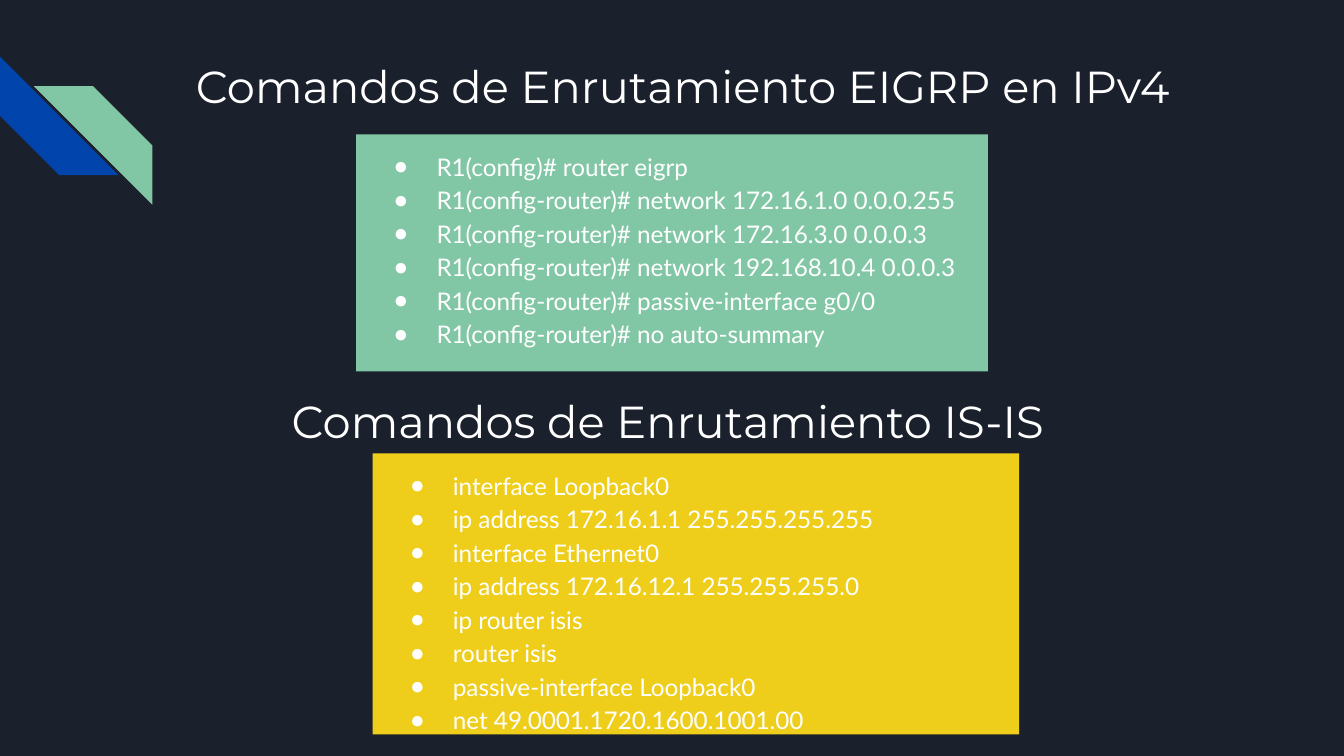
from pptx import Presentation
from pptx.dml.color import RGBColor as Rgb
from pptx.enum.shapes import MSO_SHAPE as Kind
from pptx.enum.text import MSO_ANCHOR as Anchor, MSO_AUTO_SIZE as Auto, PP_ALIGN as Align
from pptx.oxml import parse_xml
from pptx.oxml.ns import nsdecls
from pptx.util import Cm, Pt


def paint(fill, color):
    fill.solid()
    fill.fore_color.rgb = Rgb.from_string(color)


def write(box, text, at, font, size, fill=None, bullet=None, anchor=Anchor.TOP):
    box.left, box.top, box.width, box.height = [Cm(n) for n in at]
    if fill:
        paint(box.fill, fill)
    frame = box.text_frame
    frame.text = text
    frame.word_wrap = True
    frame.auto_size = Auto.NONE
    frame.vertical_anchor = anchor
    frame.margin_left = frame.margin_right = Cm(0.25)
    frame.margin_top = frame.margin_bottom = Cm(0.25)
    for para in frame.paragraphs:
        props = para._p.get_or_add_pPr()
        props.set("marL", str(Cm(1.27) if bullet else 0))
        props.set("indent", str(Cm(-0.81) if bullet else 0))
        if bullet:
            marks = (f'buClr {nsdecls("a")}><a:srgbClr val="FFFFFF"/></a:buClr',
                     f'buChar {nsdecls("a")} char="{bullet}"/')
        else:
            marks = (f'buNone {nsdecls("a")}/',)
        for mark in marks:
            props.append(parse_xml(f"<a:{mark}>"))
        para.alignment = Align.LEFT
        para.space_before = Pt(0)
        para.line_spacing = 1.15 if bullet else 1.0
        for run in para.runs:
            run.font.name = font
            run.font.size = Pt(size)
            run.font.bold = False
            paint(run.font.fill, "FFFFFF")


deck = Presentation()
deck.slide_width, deck.slide_height = Cm(25.4), Cm(14.29)
slide = deck.slides.add_slide(deck.slide_layouts[4])
paint(slide.background.fill, "1B212C")

for left, top, color, turn, flip in [(0, 1.07, "0145AC", 270, "0"),
                                     (0.64, 1.63, "82C7A5", 0, "1")]:
    stripe = slide.shapes.add_shape(Kind.DIAGONAL_STRIPE, Cm(left), Cm(top), Cm(2.24), Cm(2.24))
    stripe.rotation = turn
    stripe._element.spPr.xfrm.set("flipH", flip)
    stripe.shadow.inherit = False
    stripe.line.fill.background()
    paint(stripe.fill, color)

eigrp = """R1(config)# router eigrp
R1(config-router)# network 172.16.1.0 0.0.0.255
R1(config-router)# network 172.16.3.0 0.0.0.3
R1(config-router)# network 192.168.10.4 0.0.0.3
R1(config-router)# passive-interface g0/0
R1(config-router)# no auto-summary"""

isis = """interface Loopback0
ip address 172.16.1.1 255.255.255.255
interface Ethernet0
ip address 172.16.12.1 255.255.255.0
ip router isis
router isis
passive-interface Loopback0
net 49.0001.1720.1600.1001.00"""

slots = {slot.placeholder_format.idx: slot for slot in slide.placeholders}
head = dict(font="Montserrat", size=24, anchor=Anchor.MIDDLE)
items = dict(font="Lato", size=13, bullet="●")
write(slots[0], "Comandos de Enrutamiento EIGRP en IPv4", (3.45, 0.81, 21.95, 1.63), **head)
write(slots[2], eigrp, (6.73, 2.54, 11.94, 4.48), fill="82C7A5", **items)
write(slots[1], "Comandos de Enrutamiento IS-IS", (5.26, 7.14, 15.32, 1.63), **head)
write(slots[4], isis, (7.04, 8.57, 12.22, 5.31), fill="EECE1A", **items)

spare = slots[3]._element
spare.getparent().remove(spare)

deck.save("out.pptx")
